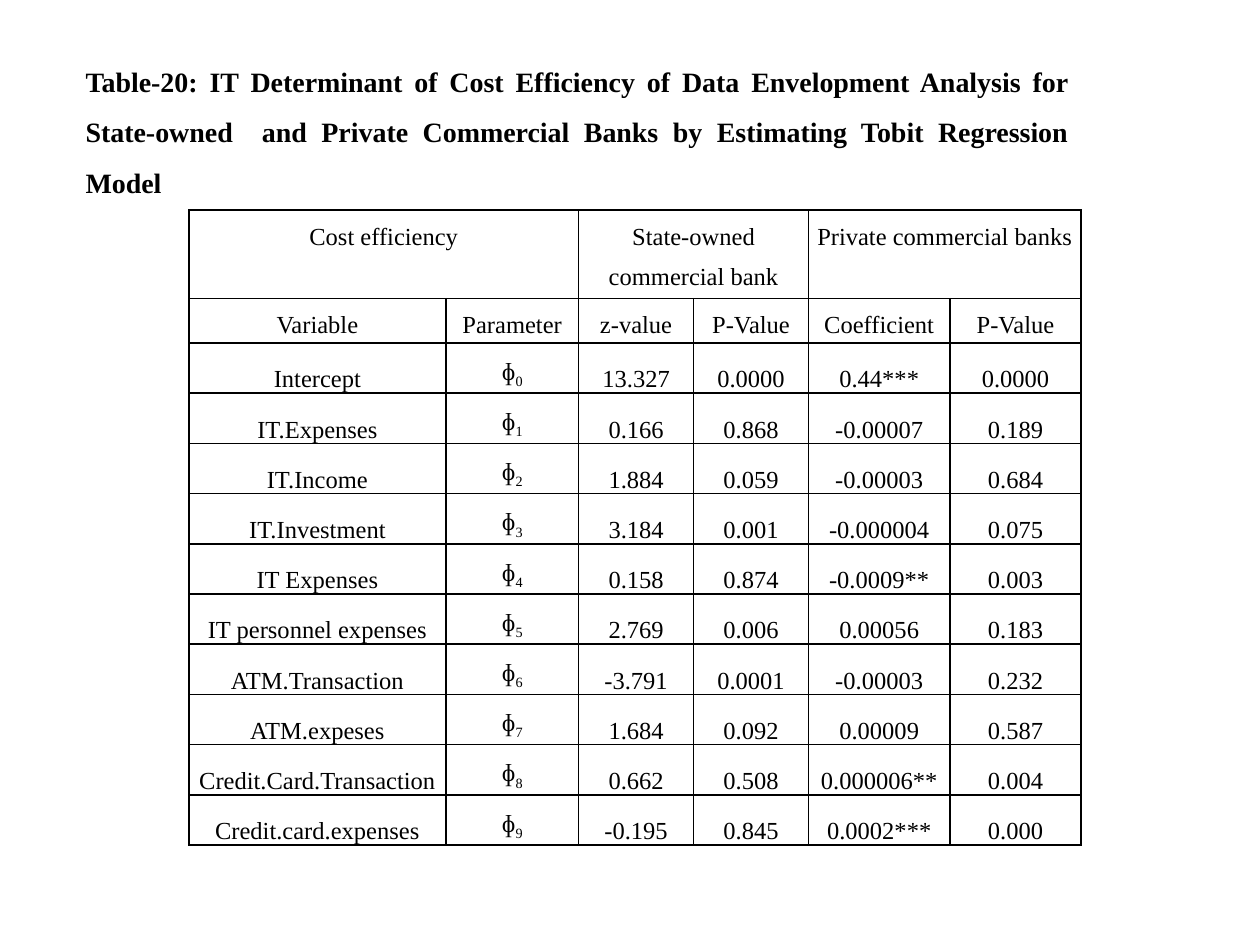
"""Build a slide with a table of Tobit regression results for two groups of banks."""
from lxml.etree import SubElement
from pptx import Presentation
from pptx.dml.color import RGBColor
from pptx.enum.text import MSO_ANCHOR as ANCHOR, PP_ALIGN as ALIGN
from pptx.oxml.ns import qn
from pptx.util import Pt

BLACK = "000000"


def rgb(color):
    return RGBColor.from_string(color)


def write(tf, text, sub="", size=14, bold=False, align=ALIGN.CENTER, color=BLACK):
    tf.word_wrap = True
    p = tf.paragraphs[0]
    p.alignment, p.line_spacing, p.space_after = align, 1.5, Pt(10)
    for part in filter(None, (text, sub)):
        r = p.add_run()
        r.text = part
        r.font.name, r.font.size, r.font.bold = "Times New Roman", Pt(size), bold
        r.font.color.rgb = rgb(color)
    if sub:
        r.font._element.set("baseline", "-25000")


title = (
    "Table-20: IT Determinant of Cost Efficiency of Data Envelopment Analysis for "
    "State-owned  and Private Commercial Banks by Estimating Tobit Regression Model"
)
groups = ["Cost efficiency", "State-owned commercial bank", "Private commercial banks"]
header = ["Variable", "Parameter", "z-value", "P-Value", "Coefficient", "P-Value"]
results = [
    ["Intercept", "13.327", "0.0000", "0.44***", "0.0000"],
    ["IT.Expenses", "0.166", "0.868", "-0.00007", "0.189"],
    ["IT.Income", "1.884", "0.059", "-0.00003", "0.684"],
    ["IT.Investment", "3.184", "0.001", "-0.000004", "0.075"],
    ["IT Expenses", "0.158", "0.874", "-0.0009**", "0.003"],
    ["IT personnel expenses", "2.769", "0.006", "0.00056", "0.183"],
    ["ATM.Transaction", "-3.791", "0.0001", "-0.00003", "0.232"],
    ["ATM.expeses", "1.684", "0.092", "0.00009", "0.587"],
    ["Credit.Card.Transaction", "0.662", "0.508", "0.000006**", "0.004"],
    ["Credit.card.expenses", "-0.195", "0.845", "0.0002***", "0.000"],
]
widths = [146.8, 75.9, 65.7, 65.7, 80.8, 75]
heights = [50.6, 25.4] + [28.7] * len(results)

prs = Presentation()
prs.slide_width, prs.slide_height = Pt(720), Pt(540)
s = prs.slides.add_slide(prs.slide_layouts[6])

sp = s.shapes.add_textbox(Pt(41.8), Pt(23.8), Pt(576), Pt(94.3))
write(sp.text_frame, title, size=16, bold=True, align=ALIGN.JUSTIFY)

sp = s.shapes.add_table(
    len(heights), len(widths), Pt(108), Pt(120), Pt(sum(widths)), Pt(sum(heights))
)
table = sp.table
table.first_row = table.horz_banding = False
for col, width in zip(table.columns, widths):
    col.width = Pt(width)
for row, height in zip(table.rows, heights):
    row.height = Pt(height)

for cell in table.iter_cells():
    cell.margin_left = cell.margin_right = Pt(5)
    cell.margin_top = cell.margin_bottom = 0
    tcPr = cell._tc.get_or_add_tcPr()
    for side in ("a:lnL", "a:lnR", "a:lnT", "a:lnB"):
        ln = SubElement(tcPr, qn(side), w=str(Pt(1)))
        SubElement(SubElement(ln, qn("a:solidFill")), qn("a:srgbClr"), val=BLACK)
    cell.fill.background()

for i, group in enumerate(groups):
    cell = table.cell(0, 2 * i)
    cell.merge(table.cell(0, 2 * i + 1))
    write(cell.text_frame, group)

for j, name in enumerate(header):
    write(table.cell(1, j).text_frame, name)

for i, (variable, *values) in enumerate(results):
    for j, text in enumerate([variable, "ɸ", *values]):
        cell = table.cell(i + 2, j)
        if j == 1:
            write(cell.text_frame, text, sub=str(i))
        else:
            cell.vertical_anchor = ANCHOR.BOTTOM
            write(cell.text_frame, text)

prs.save("out.pptx")
